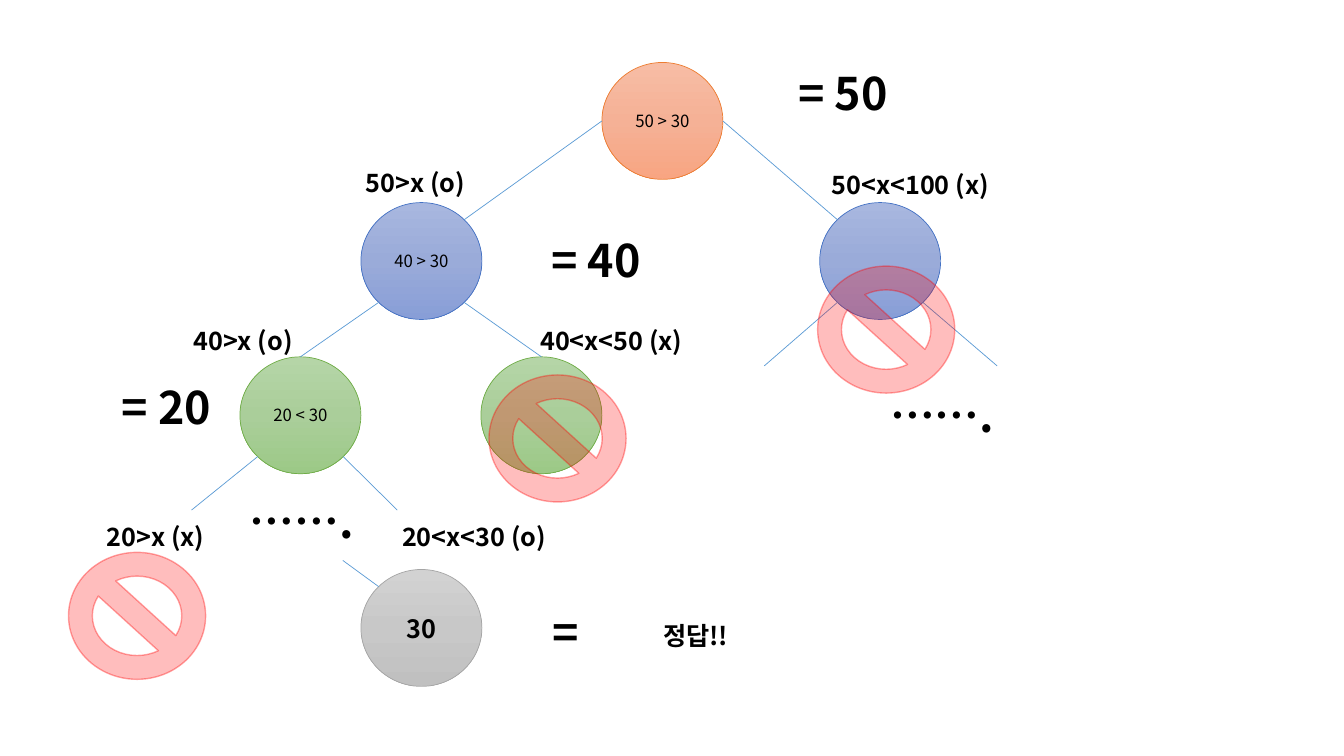
"""Build a slide that shows a binary search for 30 as a tree."""
from copy import deepcopy
from dataclasses import dataclass
from math import cos, radians, sin

from lxml.etree import SubElement
from pptx import Presentation
from pptx.dml.color import RGBColor
from pptx.enum.shapes import MSO_CONNECTOR, MSO_SHAPE
from pptx.enum.text import MSO_ANCHOR, MSO_AUTO_SIZE, PP_ALIGN
from pptx.oxml.ns import qn
from pptx.shapes.autoshape import Shape
from pptx.slide import Slide
from pptx.text.text import TextFrame
from pptx.util import Inches, Pt

Point = tuple[float, float]


@dataclass(frozen=True)
class Palette:
    """Hold the gradient and outline of one tree level."""
    stops: tuple[str, str, str]
    outline: str


@dataclass(frozen=True)
class Theme:
    """Hold the colours, font and sizes of the slide."""
    font: str = "Noto Sans CJK KR"
    ink: str = "000000"
    edge: str = "5B9BD5"
    ban: str = "FF0000"
    ban_fill_alpha: int = 26
    ban_line_alpha: int = 35
    comparison_size: int = 12
    label_size: int = 18
    value_size: int = 32
    thin: float = 0.5
    orange: Palette = Palette(("F7BDA5", "F5B196", "F8A582"), "ED7D31")
    blue: Palette = Palette(("A8B7DF", "9AABD9", "889ED7"), "4472C4")
    green: Palette = Palette(("B5D5A7", "AACE9A", "9CC987"), "70AD47")
    grey: Palette = Palette(("D2D2D2", "C8C8C8", "C0C0C0"), "A5A5A5")


THEME = Theme()
NODE_WIDTH, NODE_HEIGHT = 1.2, 1.16
BAN_WIDTH, BAN_HEIGHT = 1.36, 1.26


@dataclass(frozen=True)
class Node:
    """Describe one circle of the tree."""
    left: float
    top: float
    palette: Palette
    text: str = ""
    size: int = THEME.comparison_size
    bold: bool = False

    def rim(self, degrees: float) -> Point:
        """Return the rim point at an angle counted clockwise from the right."""
        angle = radians(degrees)
        return (self.left + NODE_WIDTH / 2 * (1 + cos(angle)),
                self.top + NODE_HEIGHT / 2 * (1 + sin(angle)))


@dataclass(frozen=True)
class Caption:
    """Describe one free text beside the tree."""
    text: str
    left: float
    top: float
    width: float = 2.37
    height: float = 0.4
    size: int = THEME.label_size


def value(text: str, left: float, top: float, width: float = 1.33) -> Caption:
    """Return a caption in the large size."""
    return Caption(text, left, top, width, 0.64, THEME.value_size)


ROOT = Node(5.97, 0.62, THEME.orange, "50 > 30")
LOWER = Node(3.58, 2.01, THEME.blue, "40 > 30")
UPPER = Node(8.13, 2.01, THEME.blue)
LOWEST = Node(2.38, 3.54, THEME.green, "20 < 30")
MIDDLE = Node(4.77, 3.54, THEME.green)
ANSWER = Node(3.58, 5.65, THEME.grey, "30", THEME.label_size, True)
NODES = (ROOT, LOWER, UPPER, LOWEST, MIDDLE, ANSWER)

RIGHT, LOWER_RIGHT, LOWER_LEFT, LEFT, UPPER_LEFT, TOP, UPPER_RIGHT = (
    0, 45, 135, 180, 225, 270, 315)
EDGES: tuple[tuple[Point, Point], ...] = (
    (ROOT.rim(LEFT), LOWER.rim(UPPER_RIGHT)),
    (ROOT.rim(RIGHT), UPPER.rim(UPPER_LEFT)),
    (LOWER.rim(LOWER_LEFT), LOWEST.rim(TOP)),
    (LOWER.rim(LOWER_RIGHT), MIDDLE.rim(TOP)),
    (LOWEST.rim(LOWER_LEFT), (1.9, 5.06)),
    (LOWEST.rim(LOWER_RIGHT), (3.94, 5.06)),
    ((3.4, 5.56), ANSWER.rim(UPPER_LEFT)),
    (UPPER.rim(LOWER_RIGHT), (9.89, 3.63)),
    (UPPER.rim(LOWER_LEFT), (7.58, 3.63)),
)
CAPTIONS = (
    value("= 50", 7.82, 0.6),
    value("= 40", 5.37, 2.26),
    value("= 20", 1.11, 3.72),
    value("=", 5.38, 5.95),
    value("…….", 8.73, 3.8, 2.33),
    value("…….", 2.38, 4.85, 2.33),
    Caption("50>x (o)", 3.53, 1.61),
    Caption("50<x<100 (x)", 8.15, 1.63),
    Caption("40>x (o)", 1.82, 3.18),
    Caption("40<x<50 (x)", 5.26, 3.18),
    Caption("20>x (x)", 0.96, 5.12),
    Caption("20<x<30 (o)", 3.89, 5.12),
    Caption("정답!!", 6.48, 6.1),
)
BANS: tuple[Point, ...] = ((4.85, 3.72), (8.11, 2.64), (0.68, 5.48))


def write(frame: TextFrame, text: str, *, size: int, bold: bool = False,
          align: PP_ALIGN = PP_ALIGN.LEFT) -> None:
    """Write one formatted paragraph into a text frame."""
    paragraph = frame.paragraphs[0]
    paragraph.alignment = align
    run = paragraph.add_run()
    run.text = text
    run.font.name = THEME.font
    run.font.size = Pt(size)
    run.font.bold = bold
    run.font.color.rgb = RGBColor.from_string(THEME.ink)
    SubElement(run.font._element, qn("a:ea"), typeface=THEME.font)


def add_outlined(slide: Slide, preset: MSO_SHAPE, left: float, top: float,
                 width: float, height: float, *, color: str, weight: float) -> Shape:
    """Add a preset shape with an outline and no shadow."""
    shape = slide.shapes.add_shape(
        preset, Inches(left), Inches(top), Inches(width), Inches(height))
    shape.shadow.inherit = False
    shape.line.color.rgb = RGBColor.from_string(color)
    shape.line.width = Pt(weight)
    return shape


def add_node(slide: Slide, node: Node) -> None:
    """Add a circle with a vertical gradient."""
    circle = add_outlined(slide, MSO_SHAPE.OVAL, node.left, node.top, NODE_WIDTH,
                          NODE_HEIGHT, color=node.palette.outline, weight=THEME.thin)
    circle.fill.gradient()
    circle.fill.gradient_angle = 270
    stop_list = circle._element.spPr.find(f".//{qn('a:gsLst')}")
    stop_list.append(deepcopy(stop_list[0]))
    for index, (stop, color) in enumerate(
            zip(circle.fill.gradient_stops, node.palette.stops)):
        stop.position = index / 2
        stop.color.rgb = RGBColor.from_string(color)
    if node.text:
        circle.text_frame.vertical_anchor = MSO_ANCHOR.MIDDLE
        write(circle.text_frame, node.text, size=node.size, bold=node.bold,
              align=PP_ALIGN.CENTER)


def add_edge(slide: Slide, start: Point, end: Point) -> None:
    """Add a thin straight branch."""
    edge = slide.shapes.add_connector(
        MSO_CONNECTOR.STRAIGHT, *(Inches(length) for length in (*start, *end)))
    edge.line.color.rgb = RGBColor.from_string(THEME.edge)
    edge.line.width = Pt(THEME.thin)
    SubElement(edge._element.spPr, qn("a:effectLst"))


def add_caption(slide: Slide, caption: Caption) -> None:
    """Add a bold free text."""
    frame = slide.shapes.add_textbox(
        Inches(caption.left), Inches(caption.top),
        Inches(caption.width), Inches(caption.height)).text_frame
    frame.word_wrap = True
    frame.auto_size = MSO_AUTO_SIZE.SHAPE_TO_FIT_TEXT
    write(frame, caption.text, size=caption.size, bold=True)


def add_ban(slide: Slide, left: float, top: float) -> None:
    """Add a translucent prohibition sign."""
    ban = add_outlined(slide, MSO_SHAPE.NO_SYMBOL, left, top, BAN_WIDTH, BAN_HEIGHT,
                       color=THEME.ban, weight=1)
    ban.fill.solid()
    ban.fill.fore_color.rgb = RGBColor.from_string(THEME.ban)
    colors = ban._element.spPr.iter(qn("a:srgbClr"))
    for color, alpha in zip(colors, (THEME.ban_fill_alpha, THEME.ban_line_alpha)):
        SubElement(color, qn("a:alpha"), val=str(alpha * 1000))


def main() -> None:
    """Build and save the slide."""
    deck = Presentation()
    deck.slide_width, deck.slide_height = Inches(13.33), Inches(7.5)
    slide = deck.slides.add_slide(deck.slide_layouts[6])
    for node in NODES:
        add_node(slide, node)
    for start, end in EDGES:
        add_edge(slide, start, end)
    for caption in CAPTIONS:
        add_caption(slide, caption)
    for left, top in BANS:
        add_ban(slide, left, top)
    deck.save("out.pptx")


if __name__ == "__main__":
    main()
